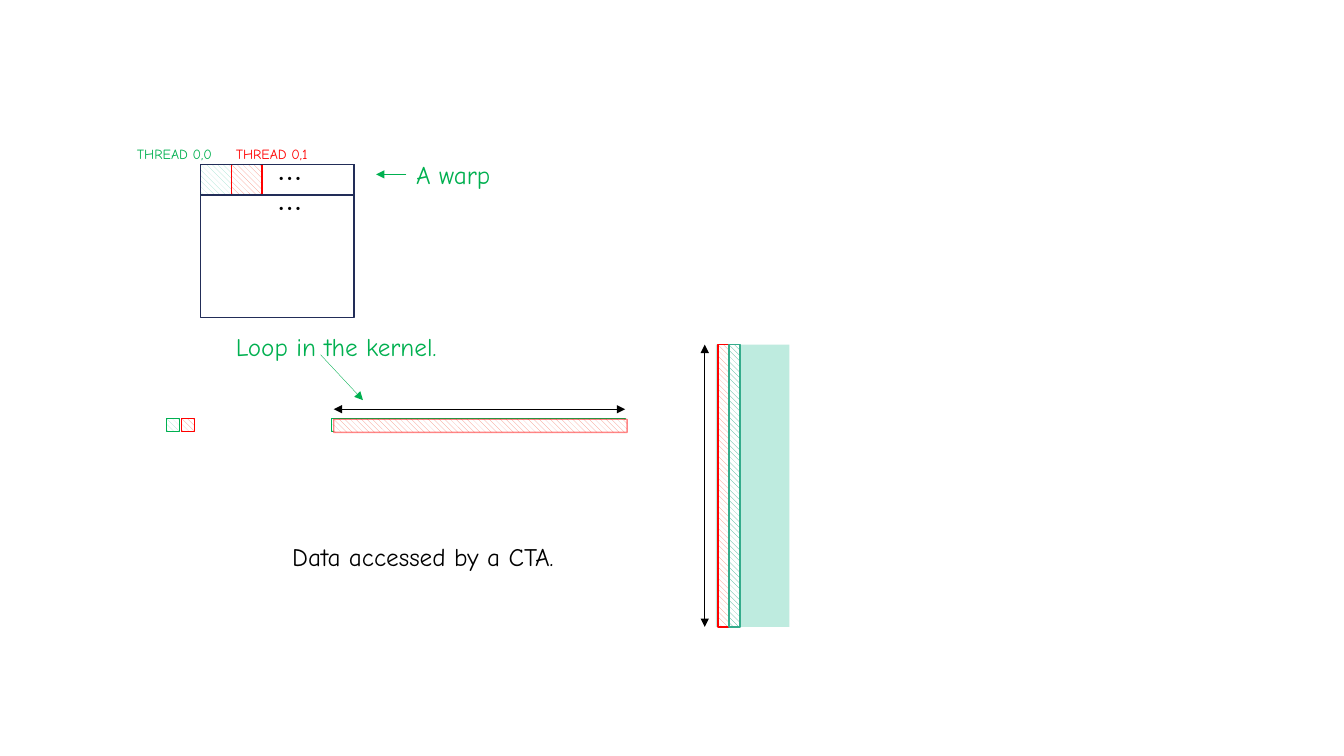
import pptx
import pptx.util
import pptx.dml.color
import pptx.enum.dml
import pptx.enum.shapes
import pptx.enum.text
import pptx.oxml
import pptx.oxml.ns
import lxml.etree

Inches = pptx.util.Inches
GREEN, RED, TEAL, NAVY, BLACK = "00B050", "FF0000", "34AC8B", "222D58", "000000"
MINT, SALMON, PALE_MINT, WHITE = "9EE2CF", "F78D7C", "BEEBDF", "FFFFFF"


def color(hex_code):
    return pptx.dml.color.RGBColor.from_string(hex_code)


def add_child(parent, tag, **attributes):
    child = lxml.etree.SubElement(parent, pptx.oxml.ns.qn(tag))
    for name, value in attributes.items():
        child.set(name, value)
    return child


def block(slide, box, line=None, hatch=None, fill=None):
    left, top, width, height = box
    rect = slide.shapes.add_shape(
        pptx.enum.shapes.MSO_SHAPE.RECTANGLE,
        Inches(left), Inches(top), Inches(width), Inches(height))
    rect.shadow.inherit = False
    if hatch:
        rect.fill.patterned()
        rect.fill.pattern = pptx.enum.dml.MSO_PATTERN.WIDE_DOWNWARD_DIAGONAL
        rect.fill.fore_color.rgb = color(hatch)
        rect.fill.back_color.rgb = color(WHITE)
    elif fill:
        rect.fill.solid()
        rect.fill.fore_color.rgb = color(fill)
    else:
        rect.fill.background()
    if line:
        rect.line.color.rgb = color(line)
        rect.line.width = pptx.util.Pt(1)
    else:
        rect.line.fill.background()
    return rect


def label(slide, box, text, hex_code, size=18, font="Comic Neue"):
    left, top, width, height = box
    frame = slide.shapes.add_textbox(
        Inches(left), Inches(top), Inches(width), Inches(height)).text_frame
    frame.word_wrap = True
    frame.auto_size = pptx.enum.text.MSO_AUTO_SIZE.SHAPE_TO_FIT_TEXT
    run = frame.paragraphs[0].add_run()
    run.text = text
    run.font.size = pptx.util.Pt(size)
    run.font.name = font
    run.font.color.rgb = color(hex_code)
    if font != "Comic Neue":
        add_child(run.font._element, "a:ea", typeface=font)


def arrow(slide, start, end, hex_code, width, both_ends=False):
    connector = slide.shapes.add_connector(
        pptx.enum.shapes.MSO_CONNECTOR.STRAIGHT,
        Inches(start[0]), Inches(start[1]), Inches(end[0]), Inches(end[1]))
    connector.line.color.rgb = color(hex_code)
    connector.line.width = pptx.util.Pt(width)
    outline = connector.line._get_or_add_ln()
    if both_ends:
        add_child(outline, "a:headEnd", type="triangle")
    add_child(outline, "a:tailEnd", type="triangle")
    add_child(connector._element.spPr, "a:effectLst")


def thread_block(slide, left, top, side):
    cell = side / 5
    block(slide, (left, top, side, side), NAVY)
    threads = [("THREAD 0,0", GREEN, MINT, -0.73), ("THREAD 0,1", RED, SALMON, 0.25)]
    for column, (name, line, hatch, offset) in enumerate(threads):
        block(slide, (left + column * cell, top, cell, cell), line, hatch)
        label(slide, (left + offset, top - 0.24, 1.02, 0.27), name, line, 10)
    block(slide, (left, top, side, cell), NAVY)
    label(slide, (left + 0.66, top - 0.06, 0.66, 0.4), "……", BLACK,
          font="Noto Sans CJK SC")
    warp_left = left + side + 0.52
    label(slide, (warp_left, top - 0.1, 1.4, 0.4), "A warp", GREEN)
    arrow(slide, (warp_left, top + 0.1), (warp_left - 0.3, top + 0.1), GREEN, 0.25)


def output_cells(slide, left, top, side):
    for column, (line, hatch) in enumerate([(GREEN, MINT), (RED, SALMON)]):
        block(slide, (left + column * 0.15, top, side, side), line, hatch)


def row_data(slide, left, top, width, height):
    arrow(slide, (left + 0.02, top - 0.09), (left + width, top - 0.09), BLACK, 0.5, True)
    arrow(slide, (left - 0.11, top - 0.63), (left + 0.31, top - 0.18), GREEN, 0.25)
    label(slide, (left - 1.05, top - 0.91, 2.53, 0.4), "Loop in the kernel.", GREEN)
    block(slide, (left, top, width, height), GREEN, MINT)
    second_row = block(slide, (left + 0.02, top + 0.01, width, height), RED, SALMON)
    line_color = second_row.line._get_or_add_ln().find(".//" + pptx.oxml.ns.qn("a:srgbClr"))
    add_child(line_color, "a:alpha", val="48000")
    label(slide, (left - 0.49, top + 1.17, 3.56, 0.4), "Data accessed by a CTA.", BLACK)


def column_data(slide, left, top, width, height):
    block(slide, (left, top, width, height), fill=PALE_MINT)
    arrow(slide, (left - 0.11, top), (left - 0.11, top + height), BLACK, 0.5, True)
    for column, (line, hatch) in enumerate([(RED, SALMON), (TEAL, TEAL)]):
        block(slide, (left + 0.02 + column * 0.11, top, 0.11, height), line, hatch)


def main():
    deck = pptx.Presentation()
    deck.slide_width, deck.slide_height = Inches(13.33), Inches(7.5)
    slide = deck.slides.add_slide(deck.slide_layouts[6])
    column_data(slide, 7.1, 3.42, 0.73, 2.8)
    thread_block(slide, 1.99, 1.63, 1.52)
    output_cells(slide, 1.65, 4.15, 0.13)
    row_data(slide, 3.29, 4.15, 2.91, 0.13)
    deck.save("out.pptx")


if __name__ == "__main__":
    main()
